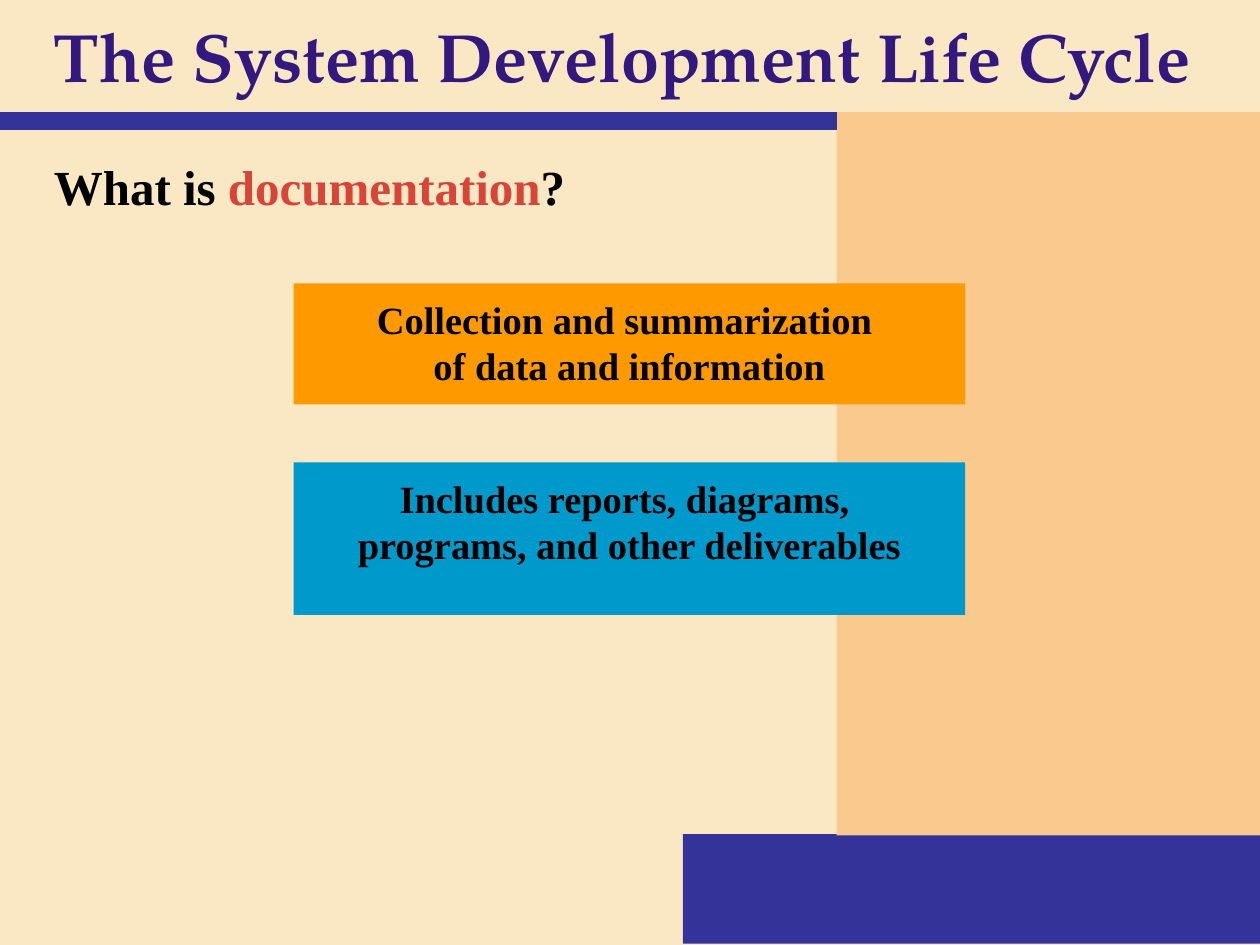
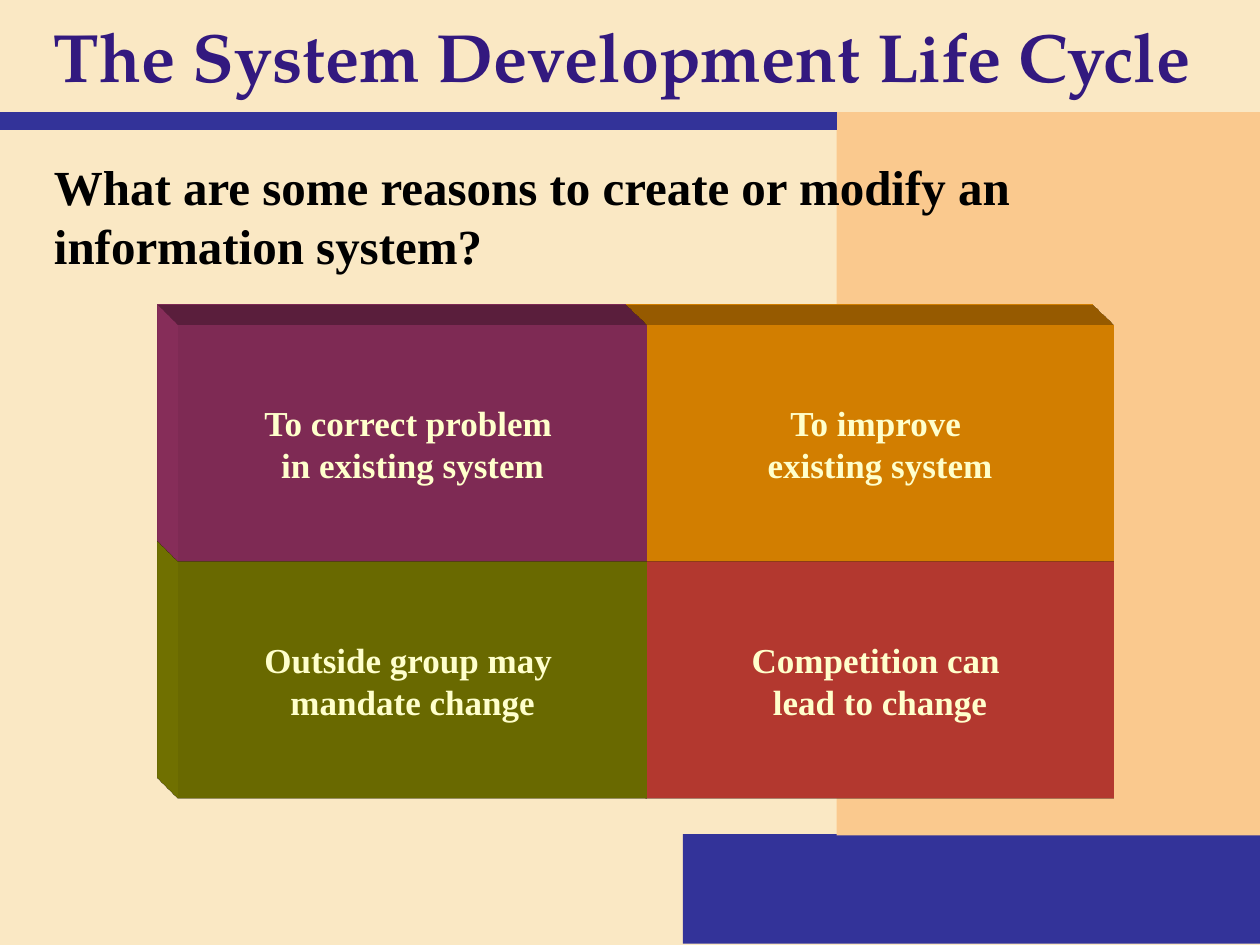
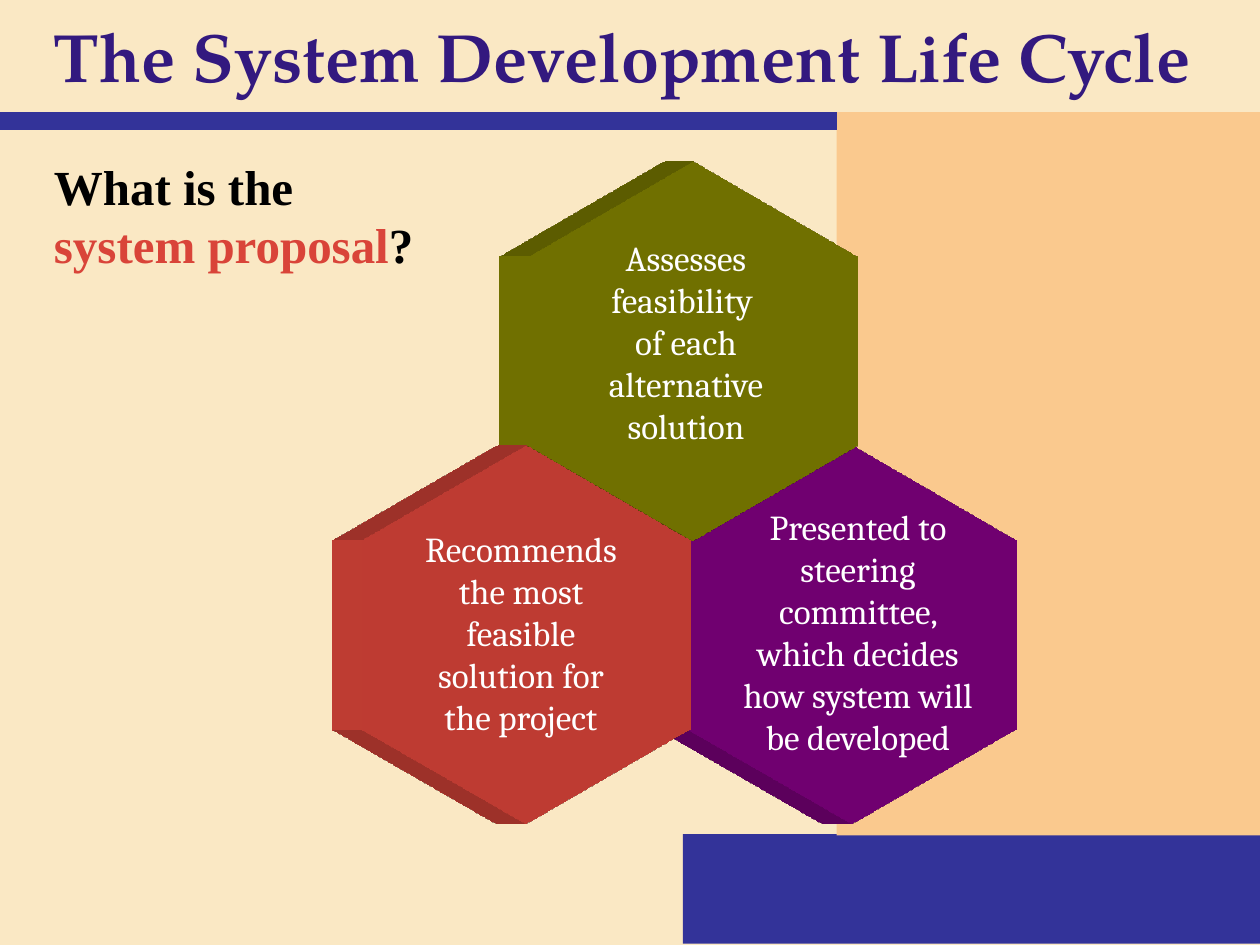
from lxml import etree
from pptx import Presentation
from pptx.dml.color import RGBColor
from pptx.enum import shapes, text
from pptx.oxml import ns
from pptx.util import Inches, Pt

HUES = {
    "sand": "FAE8C4", "peach": "FAC98E", "navy": "333399", "title": "33197F",
    "black": "000000", "white": "FFFFFF", "cream": "FFFFCC", "red": "D94439",
    "orange": "FF9900", "blue": "0099CC", "olive": "808000",
    "plum": "993366", "purple": "800080",
}
SERIF, HEAD, SOFT = "Times New Roman", "TeX Gyre Pagella", "Cambria"
MID, TOP = text.MSO_ANCHOR.MIDDLE, text.MSO_ANCHOR.TOP
RECT, HEX = shapes.MSO_SHAPE.RECTANGLE, shapes.MSO_SHAPE.HEXAGON
DEPTH = 430200


def rgb(hue):
    """Return the colour with the given name."""
    return RGBColor.from_string(HUES[hue])


def write(shape, runs, size, font, bold=True, center=True, anchor=TOP,
          inset=(0.1, 0.05, 0.1, 0.05)):
    """Fill a shape with one paragraph of (words, hue) runs."""
    frame = shape.text_frame
    frame.word_wrap = True
    frame.vertical_anchor = anchor
    (frame.margin_left, frame.margin_top,
     frame.margin_right, frame.margin_bottom) = map(Inches, inset)
    para = frame.paragraphs[0]
    para.alignment = text.PP_ALIGN.CENTER if center else text.PP_ALIGN.LEFT
    for words, hue in runs:
        for i, line in enumerate(words.split("\n")):
            if i:
                para.add_line_break()
            if line:
                run = para.add_run()
                run.text = line
                run.font.size, run.font.name = Pt(size), font
                run.font.bold = bold
                run.font.color.rgb = rgb(hue)
    return frame


def block(host, kind, box, hue):
    """Add a flat filled shape without line or shadow."""
    shape = host.shapes.add_shape(kind, *map(Inches, box))
    shape.fill.solid()
    shape.fill.fore_color.rgb = rgb(hue)
    shape.line.fill.background()
    shape.shadow.inherit = False
    return shape


def label(host, box, runs, size, font, **style):
    """Add a text box with runs."""
    area = host.shapes.add_textbox(*map(Inches, box))
    return write(area, runs, size, font, **style)


def extrude(shape, hue, view):
    """Give a shape depth, seen from the named oblique view."""
    props = shape._element.spPr
    scene = etree.SubElement(props, ns.qn("a:scene3d"))
    etree.SubElement(scene, ns.qn("a:camera"), prst="legacyOblique" + view)
    etree.SubElement(scene, ns.qn("a:lightRig"), rig="legacyFlat3", dir="b")
    solid = etree.SubElement(props, ns.qn("a:sp3d"), extrusionH=str(DEPTH),
                             prstMaterial="legacyMatte")
    for edge in ("a:bevelT", "a:bevelB"):
        etree.SubElement(solid, ns.qn(edge), w="13500", h="13500", prst="angle")
    tint = etree.SubElement(solid, ns.qn("a:extrusionClr"))
    etree.SubElement(tint, ns.qn("a:srgbClr"), val=HUES[hue])


def base(deck):
    """Add a slide with the shared bands."""
    slide = deck.slides.add_slide(deck.slide_layouts[6])
    block(slide, RECT, (5.42, 6.62, 4.6, 0.87), "navy")
    block(slide, RECT, (6.64, 0.89, 3.36, 5.74), "peach")
    rule = slide.shapes.add_connector(
        shapes.MSO_CONNECTOR.STRAIGHT, Inches(0), Inches(0.96),
        Inches(6.64), Inches(0.96))
    rule.line.color.rgb = rgb("navy")
    rule.line.width = Pt(10)
    etree.SubElement(rule._element.spPr, ns.qn("a:effectLst"))
    return slide


def heading(slide, runs, width, height):
    """Add the shared title and the question below it."""
    label(slide, (0.33, 0, 9.39, 0.88),
          [("The System Development Life Cycle", "title")], 39, HEAD,
          center=False, anchor=MID)
    label(slide, (0.33, 1.19, width, height), runs, 28, SERIF, center=False)


def panel(slide, box, hue, words, inset):
    """Add a flat panel with black text."""
    write(block(slide, RECT, box, hue), [(words, "black")], 22, SERIF,
          inset=inset)


def grid(slide, box, cells):
    """Fill a box with a two by two grid of raised cells, last cell first."""
    left, top, width, height = box
    wide, high = width / 2, height / 2
    for i in (3, 1, 2, 0):
        hue, words = cells[i]
        row, col = divmod(i, 2)
        cell = block(slide, RECT,
                     (left + col * wide, top + row * high, wide, high), hue)
        extrude(cell, hue, "TopLeft")
        write(cell, [(words, "cream")], 20, SERIF, anchor=MID)


def comb(slide, left, top, hue, words, area):
    """Add a raised hexagon grouped with its text."""
    group = slide.shapes.add_group_shape()
    shape = block(group, HEX, (left, top, 3.01, 2.61), hue)
    shape.adjustments[0] = 0.289
    shape.adjustments[1] = 1.155
    shape.rotation = 30
    extrude(shape, hue, "Left")
    frame = label(group, area, [(words, "white")], 20, SOFT, bold=False)
    frame.auto_size = text.MSO_AUTO_SIZE.SHAPE_TO_FIT_TEXT


def document(deck):
    """Build the slide on documentation."""
    slide = base(deck)
    heading(slide, [("What is ", "black"), ("documentation", "red"),
                    ("?", "black")], 9.39, 0.89)
    panel(slide, (2.33, 3.67, 5.33, 1.21), "blue",
          "Includes reports, diagrams, \nprograms, and other deliverables",
          (0, 0.1, 0, 0))
    panel(slide, (2.33, 2.25, 5.33, 0.96), "orange",
          "Collection and summarization \nof data and information",
          (0.1, 0.1, 0.1, 0.05))


def reasons(deck):
    """Build the slide on reasons for change."""
    slide = base(deck)
    heading(slide, [("What are some reasons to create or modify an "
                     "information system?", "black")], 9.39, 1.22)
    grid(slide, (1.42, 2.58, 7.42, 3.76), [
        ("plum", "To correct problem \nin existing system"),
        ("orange", "To improve \nexisting system"),
        ("olive", "Outside group may \nmandate change"),
        ("red", "Competition can \nlead to change"),
    ])


def proposal(deck):
    """Build the slide on the system proposal."""
    slide = base(deck)
    comb(slide, 5.26, 3.73, "purple",
         "Presented to steering committee, which decides how system will "
         "be developed", (5.76, 3.96, 2.1, 2.1))
    heading(slide, [("What is the \n", "black"), ("system proposal", "red"),
                    ("?", "black")], 6.25, 1.47)
    comb(slide, 4, 1.48, "olive",
         "Assesses feasibility \nof each alternative solution",
         (4.51, 1.83, 1.87, 1.77))
    comb(slide, 2.67, 3.73, "red",
         "Recommends the most feasible solution for the project",
         (3.27, 4.14, 1.73, 1.77))


def main():
    """Build and save the deck."""
    deck = Presentation()
    deck.slide_width, deck.slide_height = Inches(10), Inches(7.5)
    back = deck.slide_master.background.fill
    back.solid()
    back.fore_color.rgb = rgb("sand")
    for make in (document, reasons, proposal):
        make(deck)
    deck.save("out.pptx")


main()
